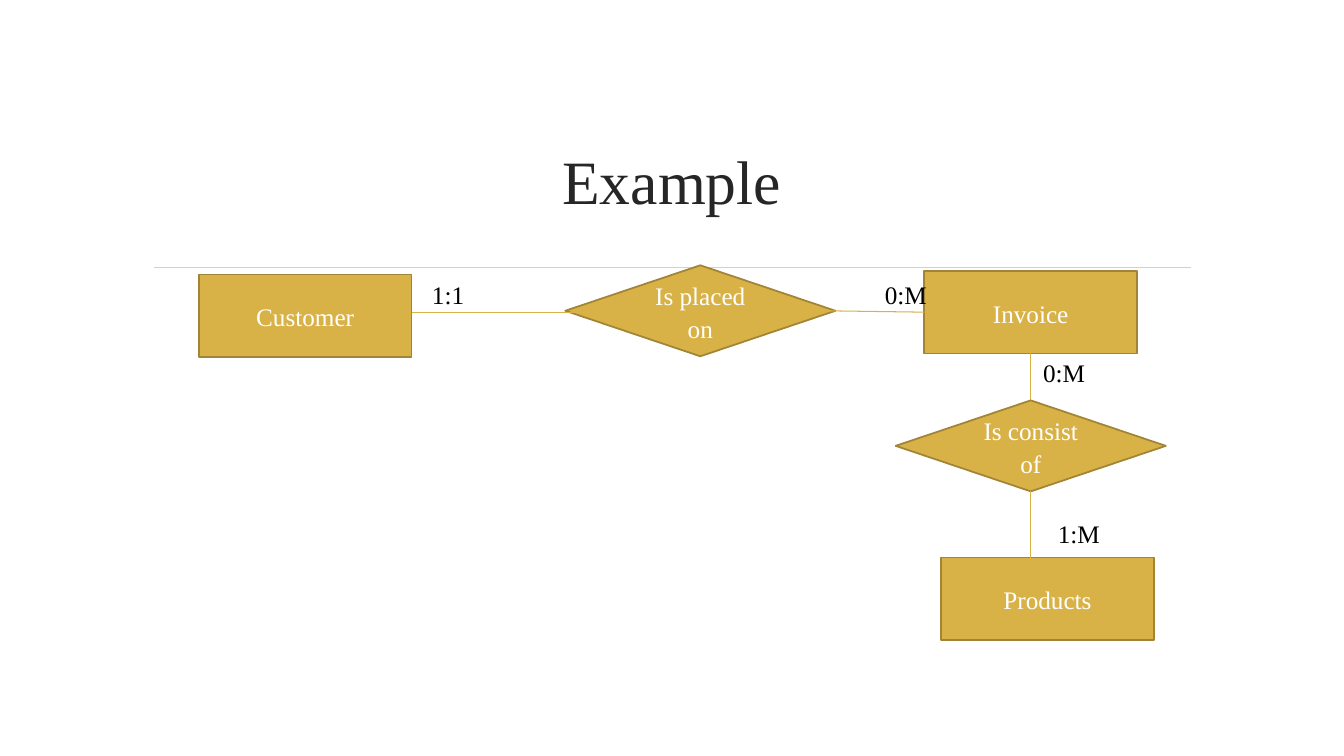
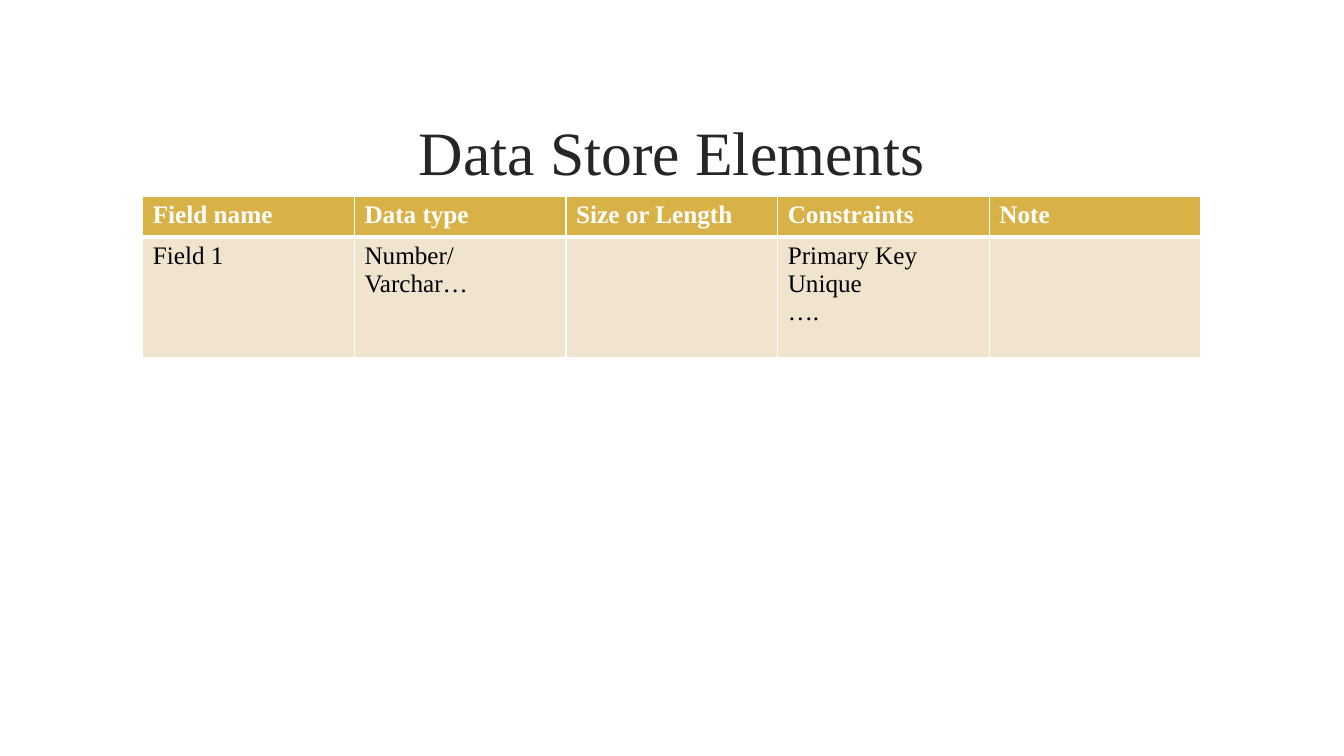
from dataclasses import dataclass

from lxml import etree
from pptx import Presentation, util as u
from pptx.dml import color
from pptx.enum import shapes, text
from pptx.oxml import ns

Pt = u.Pt
Point = tuple[float, float]
TOP, LEFT, BOTTOM = 0, 1, 2


@dataclass(frozen=True)
class Theme:
    font: str = "Times New Roman"
    title_size: float = 44
    body_size: float = 18
    title: str = "262626"
    ink: str = "000000"
    white: str = "FFFFFF"
    gold: str = "D9B247"
    gold_edge: str = "A18435"
    gold_pale: str = "E8D191"
    cell: str = "F1E4CF"


THEME = Theme()


@dataclass(frozen=True)
class Node:
    name: str
    left: float
    top: float
    kind: shapes.MSO_SHAPE
    width: float
    height: float


@dataclass(frozen=True)
class Link:
    """A straight line; a joined end names a node and a side."""
    start: Point
    end: Point
    start_join: tuple[str, int] | None = None
    end_join: tuple[str, int] | None = None


@dataclass(frozen=True)
class Cardinality:
    label: str
    left: float
    top: float


def entity(name: str, left: float, top: float) -> Node:
    return Node(name, left, top, shapes.MSO_SHAPE.RECTANGLE, 152, 59)


def relation(name: str, left: float, top: float) -> Node:
    return Node(name, left, top, shapes.MSO_SHAPE.DIAMOND, 193, 65)


NODES = [
    entity("Customer", 142, 196),
    relation("Is placed on", 403.75, 189.5),
    entity("Invoice", 660.25, 193.5),
    entity("Products", 672.25, 398.25),
    relation("Is consist of", 639.75, 286),
]
LINKS = [
    Link((294, 223.25), (410.5, 223.25)),
    Link((589, 222), (660.25, 223), end_join=("Invoice", LEFT)),
    Link((736.25, 252.5), (736.25, 286), ("Invoice", BOTTOM), ("Is consist of", TOP)),
    Link((736.25, 351), (736.25, 398.25), ("Is consist of", BOTTOM)),
]
CARDINALITIES = [
    Cardinality("1:1", 301.5, 196),
    Cardinality("0:M", 625, 196),
    Cardinality("0:M", 738, 251.5),
    Cardinality("1:M", 748.5, 367),
]
FIELD_ROWS = [
    ["Field name", "Data type", "Size or Length", "Constraints", "Note"],
    ["Field 1", "Number/Varchar…", "", "Primary Key\nUnique\n….", ""],
]


def rgb(value: str) -> color.RGBColor:
    return color.RGBColor.from_string(value)


def write(frame, content: str, *, size: float = THEME.body_size, ink: str = THEME.ink,
          bold: bool = False, align=text.PP_ALIGN.LEFT, anchor=None,
          spacing: float | None = None) -> None:
    """Fill a text frame, one paragraph for each line of content."""
    frame.word_wrap = True
    if anchor is not None:
        frame.vertical_anchor = anchor
    for index, words in enumerate(content.split("\n")):
        paragraph = frame.add_paragraph() if index else frame.paragraphs[0]
        paragraph.alignment = align
        paragraph.line_spacing = spacing
        run = paragraph.add_run()
        run.text = words
        run.font.name, run.font.size, run.font.bold = THEME.font, Pt(size), bold
        run.font.color.rgb = rgb(ink)


def add_line(slide, start: Point, end: Point, ink: str, width: float):
    line = slide.shapes.add_connector(
        shapes.MSO_CONNECTOR.STRAIGHT, *(Pt(value) for value in (*start, *end)))
    line.line.color.rgb = rgb(ink)
    line.line.width = Pt(width)
    etree.SubElement(line._element.spPr, ns.qn("a:effectLst"))
    return line


def add_titled_slide(deck, title: str, title_top: float):
    slide = deck.slides.add_slide(deck.slide_layouts[6])
    add_line(slide, (110, 191), (850.5, 191), THEME.gold_pale, 1.25)
    heading = slide.shapes.add_textbox(Pt(102), Pt(title_top), Pt(756), Pt(103))
    write(heading.text_frame, title, size=THEME.title_size, ink=THEME.title,
          align=text.PP_ALIGN.CENTER, anchor=text.MSO_ANCHOR.MIDDLE)
    return slide


def add_node(slide, node: Node):
    shape = slide.shapes.add_shape(
        node.kind, Pt(node.left), Pt(node.top), Pt(node.width), Pt(node.height))
    shape.shadow.inherit = False
    shape.fill.solid()
    shape.fill.fore_color.rgb = rgb(THEME.gold)
    shape.line.color.rgb = rgb(THEME.gold_edge)
    shape.line.width = Pt(1.25)
    write(shape.text_frame, node.name, ink=THEME.white, spacing=1.07,
          align=text.PP_ALIGN.CENTER, anchor=text.MSO_ANCHOR.MIDDLE)
    return shape


def add_link(slide, link: Link, drawn: dict) -> None:
    line = add_line(slide, link.start, link.end, THEME.gold, 0.75)
    if link.start_join:
        name, side = link.start_join
        line.begin_connect(drawn[name], side)
    if link.end_join:
        name, side = link.end_join
        line.end_connect(drawn[name], side)


def add_cardinality(slide, mark: Cardinality) -> None:
    box = slide.shapes.add_textbox(Pt(mark.left), Pt(mark.top), Pt(47), Pt(29))
    write(box.text_frame, mark.label)


def set_borders(cell, widths: dict[str, float]) -> None:
    """Give a cell white borders; they must come before its fill in the XML."""
    properties = cell._tc.get_or_add_tcPr()
    for index, (side, width) in enumerate(widths.items()):
        border = etree.Element(ns.qn(f"a:ln{side}"), w=str(Pt(width)))
        fill = etree.SubElement(border, ns.qn("a:solidFill"))
        etree.SubElement(fill, ns.qn("a:srgbClr"), val=THEME.white)
        properties.insert(index, border)


def add_field_table(slide) -> None:
    heights = (29.25, 86.5)
    columns = len(FIELD_ROWS[0])
    table = slide.shapes.add_table(
        len(FIELD_ROWS), columns, Pt(102), Pt(140), Pt(756), Pt(sum(heights))).table
    table.horz_banding = False
    for column in table.columns:
        column.width = Pt(756 / columns)
    for row, (height, entries) in enumerate(zip(heights, FIELD_ROWS)):
        table.rows[row].height = Pt(height)
        header = row == 0
        for column, entry in enumerate(entries):
            cell = table.cell(row, column)
            cell.fill.solid()
            cell.fill.fore_color.rgb = rgb(THEME.gold if header else THEME.cell)
            set_borders(cell, {"L": 1, "R": 1, "T": 1 if header else 3,
                               "B": 3 if header else 1})
            if entry:
                write(cell.text_frame, entry, bold=header,
                      ink=THEME.white if header else THEME.ink)


def build_example(deck) -> None:
    slide = add_titled_slide(deck, "Example", 77)
    drawn = {node.name: add_node(slide, node) for node in NODES}
    for link in LINKS:
        add_link(slide, link, drawn)
    for mark in CARDINALITIES:
        add_cardinality(slide, mark)


def build_data_store(deck) -> None:
    add_field_table(add_titled_slide(deck, "Data Store Elements", 56))


def main() -> None:
    deck = Presentation()
    deck.slide_width, deck.slide_height = Pt(960), Pt(540)
    build_example(deck)
    build_data_store(deck)
    deck.save("out.pptx")


if __name__ == "__main__":
    main()
